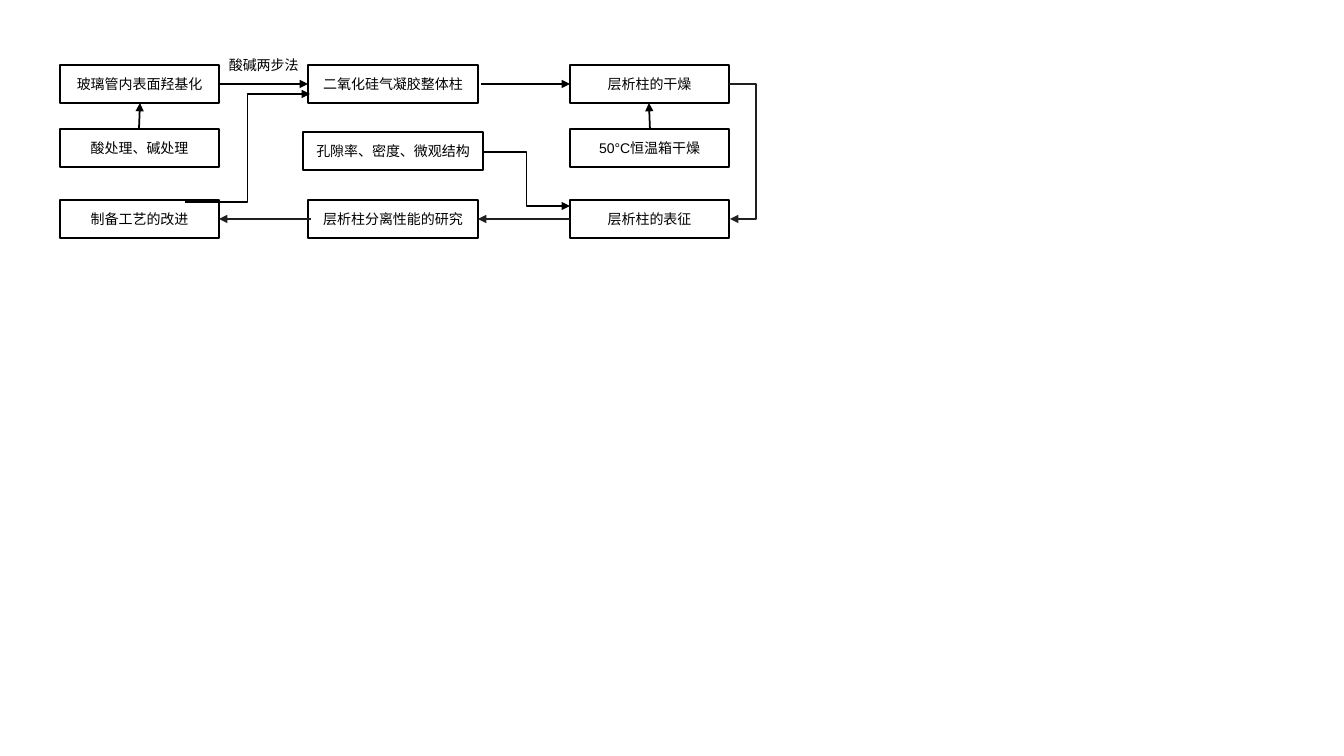
from lxml.etree import SubElement
from pptx import Presentation
from pptx.dml.color import RGBColor
from pptx.enum.shapes import MSO_CONNECTOR, MSO_SHAPE
from pptx.enum.text import MSO_ANCHOR, PP_ALIGN
from pptx.oxml.ns import qn
from pptx.util import Emu, Pt

SCALE = 914400 / 100.8
BLACK, GREY, WHITE = "000000", "202020", "FFFFFF"


def px(n):
    """Turn pixels into EMU."""
    return Emu(round(n * SCALE))


def color(code):
    """Turn a hex string into a colour."""
    return RGBColor.from_string(code)


def write(shape, text, size=10, font="Arial", ink=BLACK,
          align=PP_ALIGN.CENTER, anchor=MSO_ANCHOR.MIDDLE):
    """Put formatted text into a shape."""
    frame = shape.text_frame
    frame.word_wrap = True
    frame.vertical_anchor = anchor
    para = frame.paragraphs[0]
    para.alignment = align
    run = para.add_run()
    run.text = text
    run.font.size = Pt(size)
    run.font.name = font
    run.font.color.rgb = color(ink)


def step(slide, text, x, y, w, h):
    """Draw one outlined box with its text."""
    box = slide.shapes.add_shape(MSO_SHAPE.RECTANGLE, px(x), px(y), px(w), px(h))
    box.shadow.inherit = False
    box.fill.solid()
    box.fill.fore_color.rgb = color(WHITE)
    box.line.color.rgb = color(BLACK)
    box.line.width = Pt(1)
    write(box, text)


def arrow(slide, start, end, ink=BLACK, bend=None):
    """Draw an arrow; bend gives the elbow as a share of its width."""
    kind = MSO_CONNECTOR.STRAIGHT if bend is None else MSO_CONNECTOR.ELBOW
    link = slide.shapes.add_connector(kind, *map(px, start + end))
    link.line.color.rgb = color(ink)
    link.line.width = Pt(1.25)
    props = link._element.spPr
    SubElement(link.line._get_or_add_ln(), qn("a:tailEnd"), type="triangle")
    SubElement(props, qn("a:effectLst"))
    if bend is not None:
        guides = props.find(qn("a:prstGeom")).get_or_add_avLst()
        SubElement(guides, qn("a:gd"), name="adj1", fmla=f"val {round(bend * 100000)}")


def flow(slide, left, top):
    """Draw the process chart from its top left corner."""
    high = 38
    cols = [(0, 159), (248, 170), (510, 159)]
    rows = [
        (0, ["玻璃管内表面羟基化", "二氧化硅气凝胶整体柱", "层析柱的干燥"]),
        (64, ["酸处理、碱处理", None, "50°C恒温箱干燥"]),
        (135, ["制备工艺的改进", "层析柱分离性能的研究", "层析柱的表征"]),
    ]
    for y, names in rows:
        for (x, wide), name in zip(cols, names):
            if name:
                step(slide, name, left + x, top + y, wide, high)
    step(slide, "孔隙率、密度、微观结构", left + 243, top + 67, 180, high)

    label = slide.shapes.add_textbox(px(left + 159), px(top - 13), px(92), px(27))
    write(label, "酸碱两步法", align=PP_ALIGN.LEFT, anchor=MSO_ANCHOR.TOP)

    first, last = 19, 154
    links = [
        ((159, first), (248, first), BLACK, None),
        ((421, first), (510, first), BLACK, None),
        ((669, first), (670, last), GREY, 27),
        ((510, last), (418, last), GREY, None),
        ((251, last), (159, last), GREY, None),
        ((79, 64), (80, high), BLACK, None),
        ((590, 64), (589, high), BLACK, None),
        ((423, 87), (510, 141), BLACK, 0.5),
        ((125, 137), (250, 29), BLACK, 0.5),
    ]
    for (x1, y1), (x2, y2), ink, bend in links:
        arrow(slide, (left + x1, top + y1), (left + x2, top + y2), ink, bend)


deck = Presentation()
deck.slide_width, deck.slide_height = px(1344), px(756)
page = deck.slides.add_slide(deck.slide_layouts[6])
flow(page, 60, 65)
deck.save("out.pptx")
